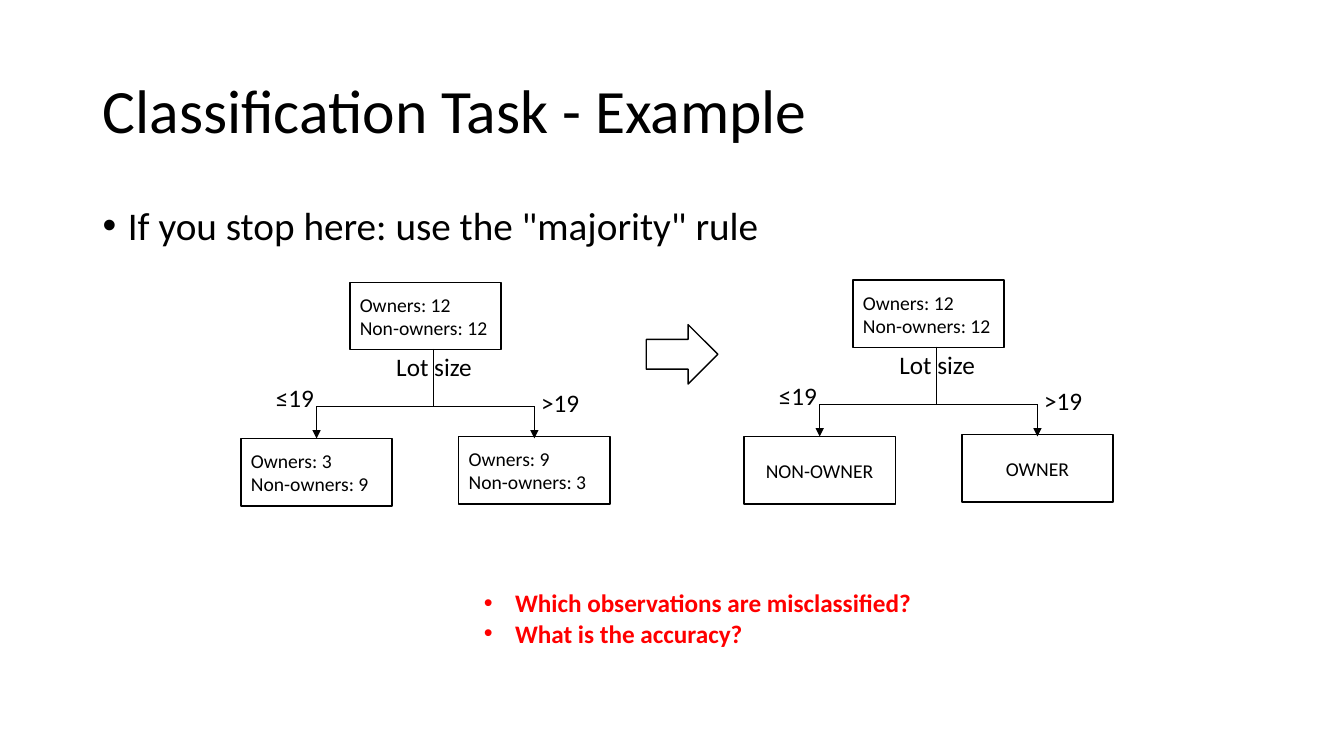
from lxml.etree import SubElement
from pptx import Presentation
from pptx.dml.color import RGBColor
from pptx.enum.shapes import MSO_CONNECTOR, MSO_SHAPE
from pptx.enum.text import MSO_ANCHOR, PP_ALIGN
from pptx.oxml.ns import qn
from pptx.util import Emu, Pt

EMU_PER_PX = 9144  # 100 px to the inch


def px(length):
    return Emu(length * EMU_PER_PX)


def rgb(value):
    return RGBColor.from_string(value)


class SlideBuilder:
    font = "Calibri"
    ink = "000000"
    accent = "FF0000"

    def __init__(self, slide):
        self.slide = slide
        self.shapes = slide.shapes

    def start_group(self):
        """Send the next elements into a new group."""
        self.shapes = self.slide.shapes.add_group_shape().shapes

    def end_group(self):
        self.shapes = self.slide.shapes

    def set_text(self, sp, lines, size, color=None, bold=False, align=PP_ALIGN.LEFT,
                 anchor=MSO_ANCHOR.TOP, indent=0, spacing=None, before=0):
        """Fill a shape with paragraphs; a nonzero indent makes them bullets."""
        tf = sp.text_frame
        tf.word_wrap = True
        tf.vertical_anchor = anchor
        tf.text = "\n".join(lines)
        for p in tf.paragraphs:
            p.alignment = align
            p.space_before = Pt(before)
            if spacing:
                p.line_spacing = spacing
            if indent:
                self.bullet(p, indent)
            for r in p.runs:
                r.font.name = self.font
                r.font.size = Pt(size)
                r.font.bold = bold
                r.font.color.rgb = rgb(color or self.ink)

    def bullet(self, p, indent):
        pPr = p._p.get_or_add_pPr()
        pPr.set("marL", str(px(indent)))
        pPr.set("indent", str(px(-indent)))
        SubElement(pPr, qn("a:buFont"), typeface="Arial")
        SubElement(pPr, qn("a:buChar"), char="•")

    def text(self, x, y, w, h, lines, size, **style):
        sp = self.shapes.add_textbox(px(x), px(y), px(w), px(h))
        self.set_text(sp, lines, size, **style)

    def outline(self, kind, x, y, w, h):
        sp = self.shapes.add_shape(kind, px(x), px(y), px(w), px(h))
        sp.shadow.inherit = False
        sp.fill.background()
        sp.line.color.rgb = rgb(self.ink)
        sp.line.width = Pt(1)
        return sp

    def node(self, x, y, lines, align=PP_ALIGN.LEFT):
        sp = self.outline(MSO_SHAPE.RECTANGLE, x, y, 150, 67)
        self.set_text(sp, lines, 14, align=align, anchor=MSO_ANCHOR.MIDDLE)

    def label(self, x, y, caption):
        self.text(x, y, 133, 40, [caption], 18, align=PP_ALIGN.CENTER)

    def line(self, x1, y1, x2, y2, arrow=False):
        cx = self.shapes.add_connector(MSO_CONNECTOR.STRAIGHT, px(x1), px(y1), px(x2), px(y2))
        cx.line.color.rgb = rgb(self.ink)
        cx.line.width = Pt(0.5)
        spPr = cx._element.spPr
        if arrow:
            SubElement(spPr.find(qn("a:ln")), qn("a:tailEnd"), type="triangle")
        SubElement(spPr, qn("a:effectLst"))

    def tree(self, x, y, left_leaf, right_leaf, align):
        """Draw a one-split tree whose root box starts at x, y."""
        left, right, bar = x - 33, x + 183, y + 123
        self.start_group()
        self.node(x, y, ["Owners: 12", "Non-owners: 12"])
        self.node(x - 108, y + 155, left_leaf, align)
        self.node(x + 108, y + 153, right_leaf, align)
        self.line(left, bar, right, bar)
        for end in (left, right):
            self.line(end, bar, end, y + 155, arrow=True)
        self.line(x + 83, y + 66, x + 83, bar)
        self.label(x + 17, y + 64, "Lot size")
        self.label(x - 121, y + 94, "≤19")
        self.label(x + 142, y + 99, ">19")
        self.end_group()


def main():
    prs = Presentation()
    prs.slide_width, prs.slide_height = px(1333), px(750)
    s = SlideBuilder(prs.slides.add_slide(prs.slide_layouts[6]))

    s.text(92, 40, 1150, 145, ["Classification Task - Example"], 44,
           anchor=MSO_ANCHOR.MIDDLE, spacing=0.9)
    s.text(92, 200, 1150, 476, ['If you stop here: use the "majority" rule'], 28,
           indent=25, spacing=0.9, before=10)

    s.tree(347, 280, ["Owners: 3", "Non-owners: 9"], ["Owners: 9", "Non-owners: 3"],
           PP_ALIGN.LEFT)
    s.text(470, 578, 448, 71,
           ["Which observations are misclassified?", "What is the accuracy?"], 18,
           color=s.accent, bold=True, indent=31)
    s.tree(846, 278, ["NON-OWNER"], ["OWNER"], PP_ALIGN.CENTER)
    s.outline(MSO_SHAPE.RIGHT_ARROW, 641, 322, 71, 59)

    prs.save("out.pptx")


if __name__ == "__main__":
    main()
